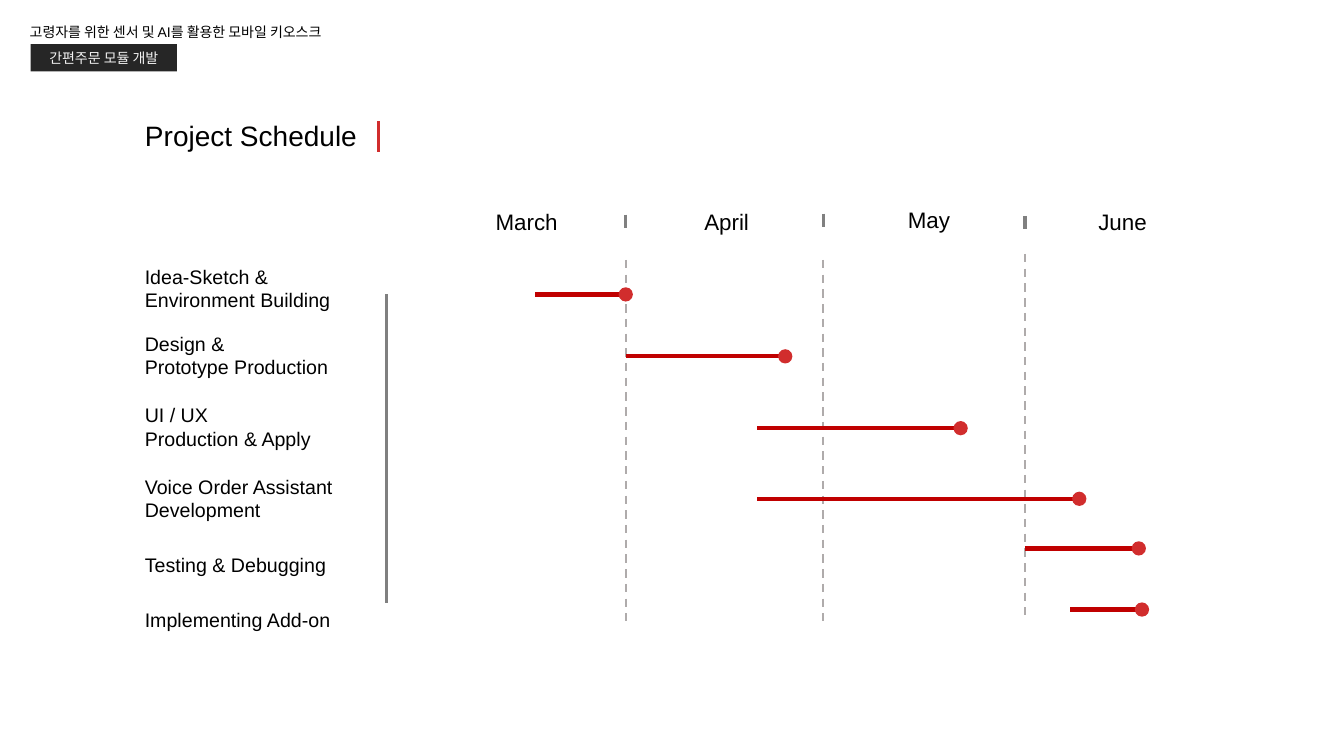
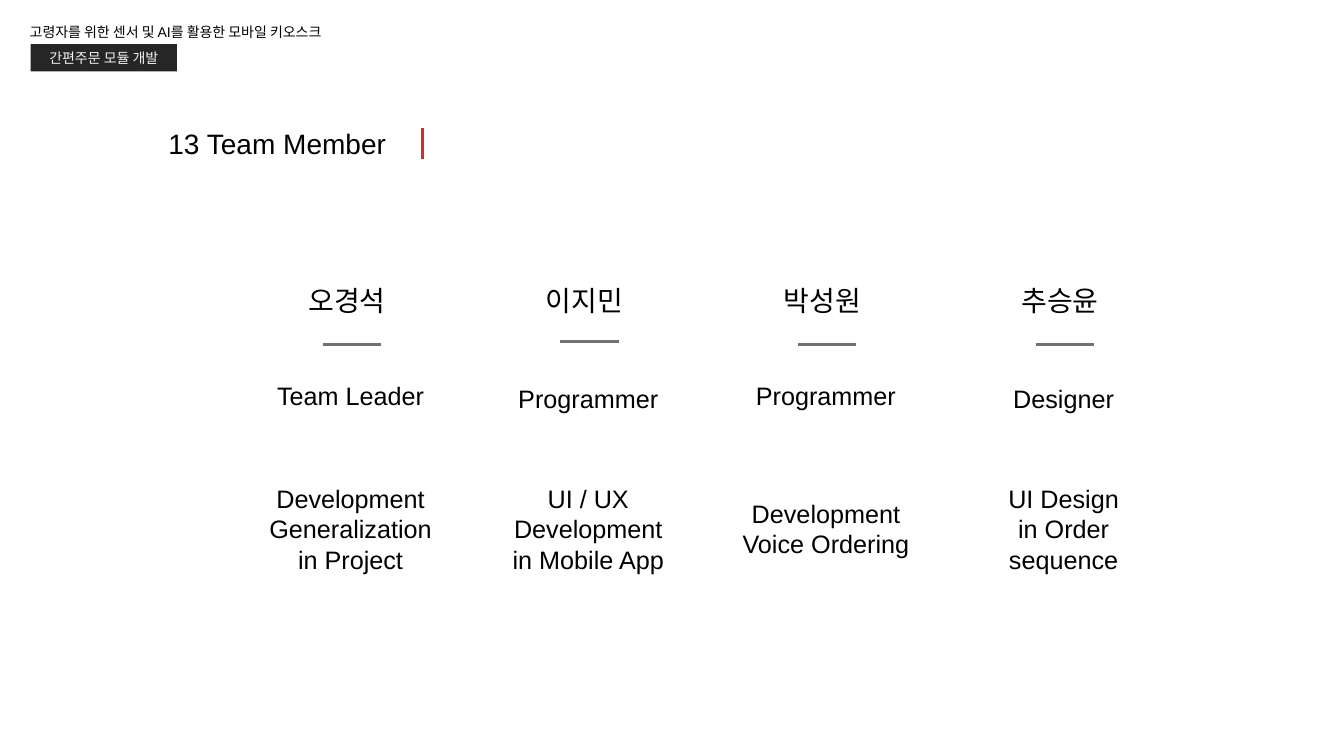
from lxml import etree
from pptx import Presentation
from pptx.dml.color import RGBColor
from pptx.enum.dml import MSO_LINE
from pptx.enum.shapes import MSO_CONNECTOR, MSO_SHAPE
from pptx.enum.text import MSO_ANCHOR as Anchor
from pptx.enum.text import MSO_AUTO_SIZE, PP_ALIGN as Align
from pptx.oxml.ns import qn
from pptx.util import Cm, Pt

COLORS = {
    "text": "000000",
    "badge": "262626",
    "badge_text": "F2F2F2",
    "accent": "D12D2D",
    "bar": "C00000",
    "rule": "808080",
    "dash": "AFABAB",
    "name_rule": "767171",
}
FONT = "Arial"
TITLE_ONLY = 5

PROJECT = "고령자를 위한 센서 및 AI를 활용한 모바일 키오스크"
MODULE = "간편주문 모듈 개발"

# name, left, top
MONTHS = [
    ("March", 12.24, 5.13),
    ("April", 17.5, 5.13),
    ("May", 22.63, 5.08),
    ("June", 27.43, 5.13),
]
# x, top of the short tick, top of the dashed line
MONTH_BORDERS = [(15.77, 5.41, 6.55), (20.75, 5.38, 6.55), (25.83, 5.44, 6.4)]
# label, label top, bar start, bar end, bar height on the slide
TASKS = [
    ("Idea-Sketch &\nEnvironment Building", 6.55, 13.49, 15.77, 7.42),
    ("Design &\nPrototype Production", 8.23, 15.77, 19.79, 8.98),
    ("UI / UX\nProduction & Apply", 10.03, 19.08, 24.21, 10.79),
    ("Voice Order Assistant\nDevelopment", 11.84, 19.08, 27.2, 12.57),
    ("Testing & Debugging", 13.82, 25.83, 28.7, 13.82),
    ("Implementing Add-on", 15.19, 26.97, 28.78, 15.36),
]
# name, role, duty, top of the rule, top of the role
MEMBERS = [
    ("오경석", "Team Leader", "Development Generalization in Project", 8.69, 9.45),
    ("이지민", "Programmer", "UI / UX\nDevelopment\nin Mobile App", 8.61, 9.53),
    ("박성원", "Programmer", "Development\nVoice Ordering", 8.69, 9.45),
    ("추승윤", "Designer", "UI Design\nin Order sequence", 8.69, 9.53),
]
MEMBER_PITCH = 5.99


def rgb(color):
    return RGBColor.from_string(COLORS[color])


class Deck:
    """Holds the shared style and the slide being drawn."""

    def __init__(self):
        self.presentation = Presentation()
        self.presentation.slide_width = Cm(33.87)
        self.presentation.slide_height = Cm(19.05)
        self.slide = None

    def add_slide(self, title, left, top, rule_x):
        layout = self.presentation.slide_layouts[TITLE_ONLY]
        self.slide = self.presentation.slides.add_slide(layout)
        self.text(PROJECT, 0.5, 0.25, 9.25, 0.79, size=10, spacing=1.5)
        badge = self.shape(MSO_SHAPE.RECTANGLE, 0.77, 1.11, 3.69, 0.69, "badge")
        self.fill_text(badge, MODULE, 10, "badge_text", Align.CENTER, Anchor.MIDDLE)
        heading = self.slide.shapes.title
        box = {"left": left, "top": top, "width": 6.27, "height": 1.12}
        for attribute, value in box.items():
            setattr(heading, attribute, Cm(value))
        self.fill_text(heading, title, 20)
        self.line(rule_x, top + 0.18, rule_x, top + 0.95, "accent")

    def fill_text(self, shape, text, size, color="text", align=Align.LEFT,
                  anchor=Anchor.TOP, spacing=1.0):
        """Fills a shape with text, one paragraph for each line."""
        frame = shape.text_frame
        frame_format = {
            "text": text,
            "word_wrap": True,
            "auto_size": MSO_AUTO_SIZE.NONE,
            "vertical_anchor": anchor,
        }
        for attribute, value in frame_format.items():
            setattr(frame, attribute, value)
        for paragraph in frame.paragraphs:
            paragraph.alignment = align
            paragraph.line_spacing = spacing
            for run in paragraph.runs:
                for attribute, value in {"name": FONT, "size": Pt(size)}.items():
                    setattr(run.font, attribute, value)
                run.font.color.rgb = rgb(color)

    def text(self, text, left, top, width, height, **style):
        box = self.slide.shapes.add_textbox(Cm(left), Cm(top), Cm(width), Cm(height))
        self.fill_text(box, text, **style)

    def shape(self, kind, left, top, width, height, color):
        shape = self.slide.shapes.add_shape(
            kind, Cm(left), Cm(top), Cm(width), Cm(height))
        shape.shadow.inherit = False
        shape.fill.solid()
        shape.fill.fore_color.rgb = rgb(color)
        shape.line.fill.background()
        return shape

    def dot(self, x, y, diameter=0.36):
        self.shape(MSO_SHAPE.OVAL, x - diameter / 2, y - diameter / 2,
                   diameter, diameter, "accent")

    def line(self, x1, y1, x2, y2, color, width=2.25, dash=None):
        connector = self.slide.shapes.add_connector(
            MSO_CONNECTOR.STRAIGHT, Cm(x1), Cm(y1), Cm(x2), Cm(y2))
        connector.line.color.rgb = rgb(color)
        connector.line.width = Pt(width)
        if dash:
            connector.line.dash_style = dash
        properties = connector._element.find(qn("p:spPr"))
        etree.SubElement(properties, qn("a:effectLst"))


def schedule_slide(deck):
    deck.add_slide("Project Schedule", left=3.4, top=2.87, rule_x=9.53)
    for month, left, top in MONTHS:
        deck.text(month, left, top, 2.46, 0.94, size=16)
    for x, tick_top, dash_top in MONTH_BORDERS:
        deck.line(x, tick_top, x, tick_top + 0.34, "rule")
        deck.line(x, dash_top, x, dash_top + 9.1, "dash", 1.5, MSO_LINE.DASH)
    deck.line(9.73, 7.42, 9.73, 15.19, "rule")
    for label, top, start, end, y in TASKS:
        height = 0.25 + 0.6 * len(label.split("\n"))
        deck.text(label, 3.4, top, 5.36, height, size=14)
        deck.line(start, y, end, y, "bar", 3)
        deck.dot(end, y)


def team_slide(deck):
    deck.add_slide("13 Team Member", left=3.99, top=3.05, rule_x=10.64)
    for index, (name, role, duty, rule_y, role_top) in enumerate(MEMBERS):
        left = 6.27 + index * MEMBER_PITCH
        deck.text(name, left + 1.25, 7.01, 2.67, 1.12, size=20)
        deck.line(left + 1.86, rule_y, left + 3.33, rule_y, "name_rule")
        deck.text(role, left, role_top, 5.13, 1.02, size=18, align=Align.CENTER)
        deck.text(duty, left, 12.04, 5.13, 2.57, size=18,
                  align=Align.CENTER, anchor=Anchor.MIDDLE)


def main():
    deck = Deck()
    schedule_slide(deck)
    team_slide(deck)
    deck.presentation.save("out.pptx")


if __name__ == "__main__":
    main()
